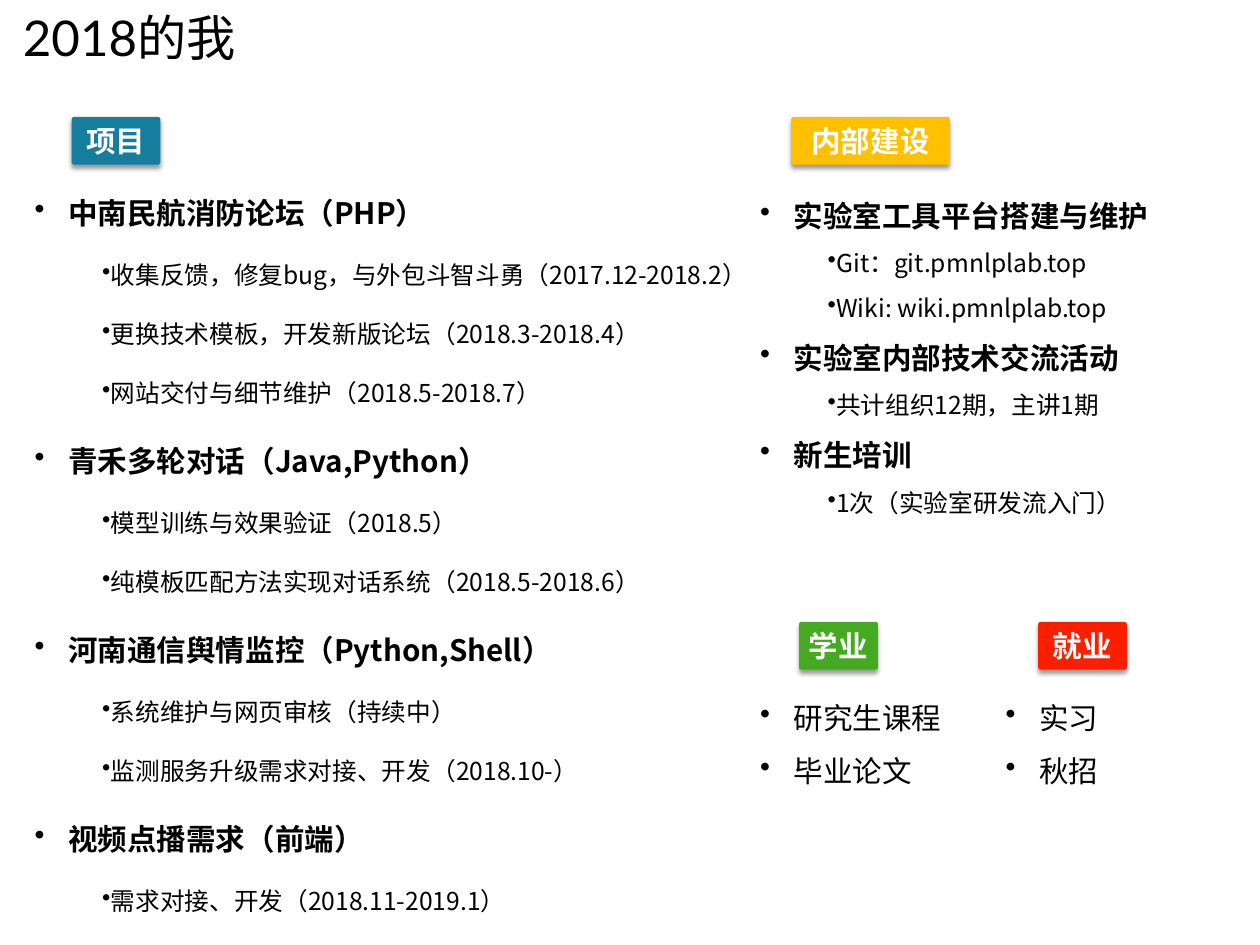
from lxml.etree import SubElement
from pptx import Presentation
from pptx.dml.color import RGBColor
from pptx.enum.shapes import MSO_SHAPE
from pptx.enum.text import MSO_ANCHOR, MSO_AUTO_SIZE, PP_ALIGN
from pptx.oxml.ns import qn
from pptx.util import Pt

TITLE = "2018的我"
CJK = "Noto Sans CJK SC"

# Lists hold (level, text); level 0 is a heading, level 1 a detail
PROJECTS = [
    (0, "中南民航消防论坛（PHP）"),
    (1, "收集反馈，修复bug，与外包斗智斗勇（2017.12-2018.2）"),
    (1, "更换技术模板，开发新版论坛（2018.3-2018.4）"),
    (1, "网站交付与细节维护（2018.5-2018.7）"),
    (0, "青禾多轮对话（Java,Python）"),
    (1, "模型训练与效果验证（2018.5）"),
    (1, "纯模板匹配方法实现对话系统（2018.5-2018.6）"),
    (0, "河南通信舆情监控（Python,Shell）"),
    (1, "系统维护与网页审核（持续中）"),
    (1, "监测服务升级需求对接、开发（2018.10-）"),
    (0, "视频点播需求（前端）"),
    (1, "需求对接、开发（2018.11-2019.1）"),
]
LAB = [
    (0, "实验室工具平台搭建与维护"),
    (1, "Git：git.pmnlplab.top"),
    (1, "Wiki: wiki.pmnlplab.top"),
    (0, "实验室内部技术交流活动"),
    (1, "共计组织12期，主讲1期"),
    (0, "新生培训"),
    (1, "1次（实验室研发流入门）"),
]
STUDY = [(0, "研究生课程"), (0, "毕业论文")]
CAREER = [(0, "实习"), (0, "秋招")]

# badge text, font, fill, (left, top, width); list, box, line factor, bold headings
SECTIONS = [
    ("项目", "Roboto", "157E9F", (58.3, 95, 72),
     PROJECTS, (23.8, 126.7, 589.7, 619.9), 2, True),
    ("学业", CJK, "45AA21", (649.4, 505.4, 64.1),
     STUDY, (613.4, 553, 176.4, 88.6), 1.5, False),
    ("就业", CJK, "FA1F00", (843.8, 505.4, 72),
     CAREER, (812.9, 553, 131, 88.6), 1.5, False),
    ("内部建设", "Roboto", "FFC000", (643, 95, 128.9),
     LAB, (613.4, 141.1, 483.1, 284.4), 1.5, True),
]
BADGE_HEIGHT = 38.9
INSET = 4.3
INDENT = 27.4
SIZES = (24, 20)
LINE_HEIGHT = 1.2


def color(value):
    return RGBColor.from_string(value)


def style(p, size, font, ink="000000", bold=False):
    for r in p.runs:
        r.font.size = Pt(size)
        r.font.bold = bold
        r.font.name = font
        r.font.color.rgb = color(ink)
        SubElement(r.font._element, qn("a:ea"), typeface=font)


def add_box(slide, box, anchor):
    tf = slide.shapes.add_textbox(*map(Pt, box)).text_frame
    tf.word_wrap = True
    tf.vertical_anchor = anchor
    tf.margin_left = tf.margin_right = tf.margin_top = tf.margin_bottom = Pt(INSET)
    return tf


def add_shadow(sp):
    effects = SubElement(sp._element.spPr, qn("a:effectLst"))
    shadow = SubElement(effects, qn("a:outerShdw"), blurRad=str(Pt(4)),
                        dist=str(Pt(3)), dir="5400000", rotWithShape="0")
    tint = SubElement(shadow, qn("a:srgbClr"), val="000000")
    SubElement(tint, qn("a:alpha"), val="40000")


def add_badge(slide, text, font, fill, place):
    sp = slide.shapes.add_shape(MSO_SHAPE.ROUNDED_RECTANGLE,
                                *map(Pt, place), Pt(BADGE_HEIGHT))
    sp.adjustments[0] = 0.05
    sp.fill.solid()
    sp.fill.fore_color.rgb = color(fill)
    sp.line.fill.background()
    add_shadow(sp)
    tf = sp.text_frame
    tf.word_wrap = False
    tf.vertical_anchor = MSO_ANCHOR.MIDDLE
    tf.text = text
    p = tf.paragraphs[0]
    p.alignment = PP_ALIGN.CENTER
    style(p, SIZES[0], font, "FFFFFF", True)


def add_list(slide, items, box, factor, bold):
    tf = add_box(slide, box, MSO_ANCHOR.MIDDLE)
    tf.auto_size = MSO_AUTO_SIZE.SHAPE_TO_FIT_TEXT
    tf.text = "\n".join(text for _, text in items)
    for p, (level, _) in zip(tf.paragraphs, items):
        pPr = p._p.get_or_add_pPr()
        pPr.set("marL", str(Pt(INDENT)))
        pPr.set("indent", str(Pt(INDENT if level else -INDENT)))
        SubElement(pPr, qn("a:buChar"), char="•")
        p.level = level
        p.line_spacing = Pt(SIZES[level] * LINE_HEIGHT * factor)
        style(p, SIZES[level], CJK, bold=bold and level == 0)


prs = Presentation()
prs.slide_width, prs.slide_height = Pt(1024), Pt(768)
slide = prs.slides.add_slide(prs.slide_layouts[6])

title = add_box(slide, (14.4, 8.6, 326.2, 49.7), MSO_ANCHOR.BOTTOM)
title.text = TITLE
style(title.paragraphs[0], 40, "Lato")

for text, font, fill, place, items, box, factor, bold in SECTIONS:
    add_badge(slide, text, font, fill, place)
    add_list(slide, items, box, factor, bold)

prs.save("out.pptx")
